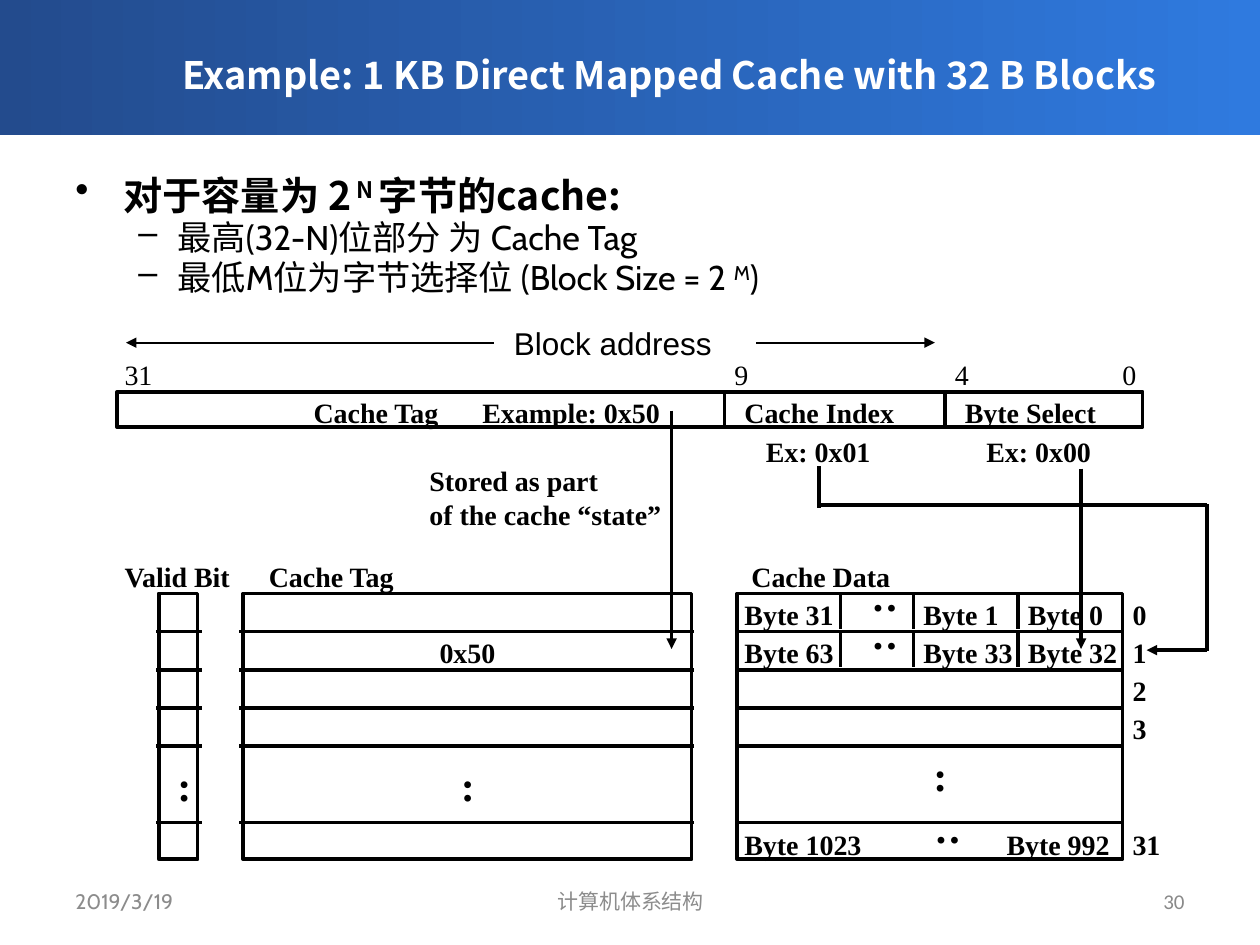
import pptx
import pptx.util
import pptx.dml.color
import pptx.enum.shapes
import pptx.enum.text
import pptx.oxml.ns
from dataclasses import dataclass
from lxml import etree
from pptx.util import Inches, Pt

ALIGN = pptx.enum.text.PP_ALIGN
ANCHOR = pptx.enum.text.MSO_ANCHOR
FIT = pptx.enum.text.MSO_AUTO_SIZE
SHAPE = pptx.enum.shapes.MSO_SHAPE
qn = pptx.oxml.ns.qn


@dataclass(frozen=True)
class Theme:
    ink: str = "000000"
    paper: str = "FFFFFF"
    navy: str = "234B8D"
    sky: str = "2F7ADF"
    grey: str = "8C8C8C"
    dim: str = "898989"
    head: float = 21.6
    lead: float = 22.4
    item: float = 19.6
    dots: float = 24
    span: float = 18
    label: float = 16
    foot: float = 12
    sans: str = "Noto Sans CJK SC"
    soft: str = "Cabin"
    plain: str = "Calibri"
    serif: str = "Times New Roman"
    arial: str = "Arial"


T = Theme()
TOP, PITCH, DEEP = 4.71, 0.303, 2.11
RULES = (1, 2, 3, 4, 6)


def row(n):
    return TOP + n * PITCH


def tint(name):
    return pptx.dml.color.RGBColor.from_string(name)


def style(para, face, size, bold=False, color=T.ink):
    font = para.font
    font.name, font.size, font.bold = face, Pt(size), bold
    font.color.rgb = tint(color)
    for run in para.runs:
        props = run._r.get_or_add_rPr()
        etree.SubElement(props, qn("a:ea")).set("typeface", T.sans)


def band(slide, y, h):
    shape = slide.shapes.add_shape(SHAPE.RECTANGLE, 0, Inches(y), Inches(10), Inches(h))
    shape.shadow.inherit = False
    shape.line.fill.background()
    shape.fill.gradient()
    shape.fill.gradient_angle = 0
    for stop, color, place in zip(shape.fill.gradient_stops, (T.navy, T.sky), (0, 1)):
        stop.color.rgb = tint(color)
        stop.position = place


def title(slide, text):
    shape = slide.shapes.title
    slide.shapes._spTree.append(shape._element)  # in front of the bands
    shape.left, shape.top = Inches(1.13), Inches(0.16)
    shape.width, shape.height = Inches(8.37), Inches(0.86)
    frame = shape.text_frame
    frame.text = text
    frame.vertical_anchor = ANCHOR.MIDDLE
    frame.paragraphs[0].alignment = ALIGN.CENTER
    style(frame.paragraphs[0], T.sans, T.head, True, T.paper)


def textbox(slide, x, y, w, h):
    box = slide.shapes.add_textbox(Inches(x), Inches(y), Inches(w), Inches(h))
    box.text_frame.word_wrap = True
    return box


def bullet(para, mark, left, hang, parts, face, size, bold):
    """Fill one list line; every second part is a superscript."""
    for i, part in enumerate(parts):
        run = para.add_run()
        run.text = part
        if i % 2:
            run._r.get_or_add_rPr().set("baseline", "30000")
    style(para, face, size, bold)
    para.space_before = Pt(size * 0.2)
    para.line_spacing = 0.8
    props = para._p.get_or_add_pPr()
    props.set("marL", str(Inches(left)))
    props.set("indent", str(-Inches(hang)))
    sign = etree.Element(qn("a:buChar"))
    sign.set("char", mark)
    props.find(qn("a:spcBef")).addnext(sign)


def points(slide):
    frame = textbox(slide, 0.5, 1.38, 9, 1.13).text_frame
    bullet(frame.paragraphs[0], "•", 0.38, 0.38,
           ("对于容量为 2", " N ", "字节的cache:"), T.sans, T.lead, True)
    for parts in (("最高(32-N)位部分 为 Cache Tag",),
                  ("最低M位为字节选择位 (Block Size = 2 ", "M", ")")):
        bullet(frame.add_paragraph(), "–", 0.81, 0.31, parts, T.soft, T.item, False)


def footer(slide, x, w, text, align, face, color):
    frame = textbox(slide, x, 6.95, w, 0.4).text_frame
    frame.vertical_anchor = ANCHOR.MIDDLE
    frame.text = text
    frame.paragraphs[0].alignment = align
    style(frame.paragraphs[0], face, T.foot, color=color)


def label(slide, text, x, y, w, h=0.37, face=T.serif, size=T.label, bold=True):
    box = textbox(slide, x, y, w, h)
    frame = box.text_frame
    frame.word_wrap = False
    frame.auto_size = FIT.SHAPE_TO_FIT_TEXT
    frame.text = text
    for para in frame.paragraphs:
        style(para, face, size, bold)
    return box


def dots(slide, x, y, turn=0):
    label(slide, ":", x, y, 0.31, 0.5, size=T.dots).rotation = turn


def line(slide, x1, y1, x2, y2, width=2, arrow=False):
    wire = slide.shapes.add_connector(
        pptx.enum.shapes.MSO_CONNECTOR.STRAIGHT,
        Inches(x1), Inches(y1), Inches(x2), Inches(y2))
    wire.line.color.rgb = tint(T.ink)
    wire.line.width = Pt(width)
    if arrow:
        etree.SubElement(wire.line._get_or_add_ln(), qn("a:tailEnd")).set("type", "triangle")
    etree.SubElement(wire._element.spPr, qn("a:effectLst"))


def frame(slide, x, y, w, h):
    shape = slide.shapes.add_shape(SHAPE.RECTANGLE, Inches(x), Inches(y), Inches(w), Inches(h))
    shape.shadow.inherit = False
    shape.fill.background()
    shape.line.color.rgb = tint(T.ink)
    shape.line.width = Pt(2)


def column(slide, x, w, left, right):
    """Draw a store column whose row rules run from left to right."""
    frame(slide, x, TOP, w, DEEP)
    for n in RULES:
        line(slide, left, row(n), right, row(n))


def address(slide):
    label(slide, "Block address", 3.98, 2.52, 1.79, 0.4, T.arial, T.span, False)
    line(slide, 6, 2.72, 7.42, 2.72, 1, True)
    line(slide, 3.92, 2.72, 1, 2.72, 1, True)
    frame(slide, 0.93, 3.11, 8.14, 0.28)
    for x in (5.75, 7.5):
        line(slide, x, 3.11, x, 3.39)
    for bit, x, w in (("31", 0.89, 0.42), ("9", 5.73, 0.31),
                      ("4", 7.48, 0.31), ("0", 8.81, 0.31)):
        label(slide, bit, x, 2.79, w, bold=False)
    for text, x, w in (("Cache Tag", 2.39, 1.2), ("Example: 0x50", 3.73, 1.63),
                       ("Cache Index", 5.81, 1.4), ("Byte Select", 7.56, 1.26)):
        label(slide, text, x, 3.09, w)
    for text, x in (("Ex: 0x01", 5.98), ("Ex: 0x00", 7.73)):
        label(slide, text, x, 3.4, 1.04)
    label(slide, "Stored as part\nof the cache “state”", 3.31, 3.63, 2.07, 0.64)


def store(slide):
    for span in ((1.26, 0.31, 1.24, 1.6), (1.93, 3.56, 1.9, 5.51), (5.85, 3.06, 5.85, 8.9)):
        column(slide, *span)
    for text, x, w in (("Valid Bit", 0.89, 1.05), (" Cache Tag", 1.98, 1.26),
                       (" Cache Data", 5.81, 1.37)):
        label(slide, text, x, 4.39, w)
    for x, y in ((1.31, 5.98), (3.56, 5.98), (7.31, 5.9)):
        dots(slide, x, y)
    label(slide, "0x50", 3.39, row(1) - 0.02, 0.65)
    for n, names in enumerate((("Byte 31", "Byte 1", "Byte 0"),
                               ("Byte 63", "Byte 33", "Byte 32"))):
        for text, x in zip(names, (5.81, 7.23, 8.06)):
            label(slide, text, x, row(n) - 0.02, 0.92 if len(text) > 6 else 0.8)
        for x in (6.67, 7.25, 8.08):
            line(slide, x, row(n), x, row(n) + 0.28)
        dots(slide, 6.81, row(n) - 0.13, 270)
    label(slide, "Byte 1023", 5.81, 6.52, 1.14)
    label(slide, "Byte 992", 7.89, 6.52, 1.03)
    dots(slide, 7.31, 6.42, 270)
    for n in range(4):
        label(slide, str(n), 8.89, row(n) - 0.02, 0.31)
    label(slide, "31", 8.89, 6.52, 0.42)


def wires(slide):
    line(slide, 5.33, 3.26, 5.33, 5.15, arrow=True)
    line(slide, 8.58, 3.72, 8.58, 5.15, arrow=True)
    line(slide, 6.5, 3.7, 6.5, 4.03)
    line(slide, 6.5, 4.01, 9.58, 4.01)
    line(slide, 9.58, 4, 9.58, 5.17)
    line(slide, 9.58, 5.16, 9.1, 5.16, arrow=True)


def main():
    deck = pptx.Presentation()
    deck.slide_width, deck.slide_height = Inches(10), Inches(7.5)
    slide = deck.slides.add_slide(deck.slide_layouts[5])
    band(slide, -0.03, 1.07)
    band(slide, 0, 1.07)
    title(slide, "Example: 1 KB Direct Mapped Cache with 32 B Blocks")
    points(slide)
    footer(slide, 0.5, 2.33, "2019/3/19", ALIGN.LEFT, T.soft, T.grey)
    footer(slide, 3.42, 3.17, "计算机体系结构", ALIGN.CENTER, T.soft, T.grey)
    footer(slide, 7.17, 2.33, "30", ALIGN.RIGHT, T.plain, T.dim)
    address(slide)
    store(slide)
    wires(slide)
    deck.save("out.pptx")


if __name__ == "__main__":
    main()
